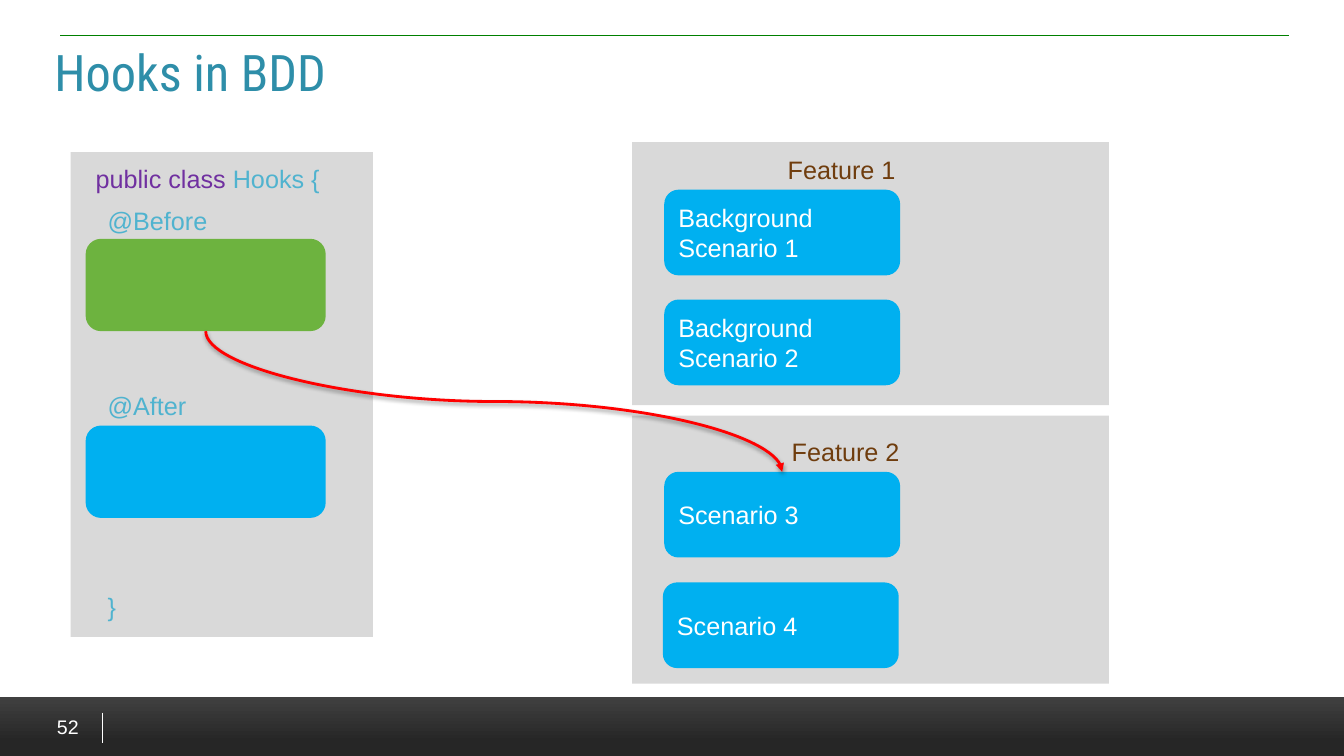
from dataclasses import dataclass

from lxml.etree import SubElement
from pptx import Presentation
from pptx.dml.color import RGBColor
from pptx.enum.shapes import MSO_CONNECTOR, MSO_SHAPE
from pptx.enum.text import MSO_ANCHOR, MSO_AUTO_SIZE, PP_ALIGN
from pptx.oxml.ns import qn
from pptx.util import Pt

HUES = {
    "panel": "D9D9D9", "green": "6DB33F", "blue": "00B0F0", "code": "50B3CF",
    "key": "7030A0", "brown": "6F3D0E", "white": "FFFFFF", "title": "2E8EA9",
    "rule": "008000", "red": "FF0000", "dark": "262626", "grey": "404040",
}


@dataclass
class Box:
    """A filled box with optional text, measured in points."""
    left: float
    top: float
    width: float
    height: float
    fill: str
    text: str = ""
    ink: str = "white"
    kind: MSO_SHAPE = MSO_SHAPE.ROUNDED_RECTANGLE


@dataclass
class Label:
    """A line of text in a text box, measured in points."""
    left: float
    top: float
    width: float
    text: str
    ink: str = "code"
    height: float = 29
    size: float = 18
    align: PP_ALIGN = PP_ALIGN.LEFT


@dataclass
class Rule:
    """A thin straight line, measured in points."""
    x1: float
    y1: float
    x2: float
    y2: float
    ink: str


PANELS = [
    Box(50.4, 108.7, 216, 346.3, "panel", kind=MSO_SHAPE.RECTANGLE),
    Box(451.5, 101.5, 340.6, 188, "panel", kind=MSO_SHAPE.RECTANGLE),
    Box(451.5, 296.9, 340.6, 191.5, "panel", kind=MSO_SHAPE.RECTANGLE),
]
HOOKS = [Box(61.2, top, 171.5, 66, hue)
         for top, hue in ((170.6, "green"), (304, "blue"))]
HEADS = [Box(left, top, 148.3, 24.5, "panel", text, "brown")
         for left, top, text in ((554.4, 108.7, "Feature 1"), (557.3, 310, "Feature 2"))]
STEPS = [Box(left, top, 168.5, 61.2, "blue", text) for left, top, text in (
    (474.5, 135.5, "Background\nScenario 1"),
    (474.5, 214, "Background\nScenario 2"),
    (474.5, 337, "Scenario 3"),
    (473.5, 416, "Scenario 4"),
)]
LABELS = [
    Label(69.8, 142.6, 88.6, "@Before"),
    Label(69.8, 275, 88.6, "@After"),
    Label(69.8, 418.5, 114.5, "}"),
    Label(17.3, 502, 46, "52", "white", 34, 14, PP_ALIGN.RIGHT),
]
RULES = [Rule(73.4, 509, 73.4, 530.6, "white"), Rule(43.2, 25.2, 920.9, 25.2, "rule")]


def tint(name: str) -> RGBColor:
    """Return the named colour."""
    return RGBColor.from_string(HUES[name])


def style(frame, ink: str, size: float = 18, face: str = "Arial",
          align: PP_ALIGN = PP_ALIGN.LEFT) -> None:
    """Format all the text of a frame."""
    frame.word_wrap = True
    for para in frame.paragraphs:
        para.alignment = align
        for run in para.runs:
            run.font.size = Pt(size)
            run.font.name = face
            run.font.color.rgb = tint(ink)


def draw_box(slide, box: Box):
    """Draw a box and its text."""
    shape = slide.shapes.add_shape(
        box.kind, Pt(box.left), Pt(box.top), Pt(box.width), Pt(box.height))
    shape.shadow.inherit = False
    shape.fill.solid()
    shape.fill.fore_color.rgb = tint(box.fill)
    shape.line.fill.background()
    if box.text:
        frame = shape.text_frame
        frame.text = box.text
        frame.vertical_anchor = MSO_ANCHOR.MIDDLE
        style(frame, box.ink)
    return shape


def draw_label(slide, label: Label):
    """Draw a label and return its frame."""
    frame = slide.shapes.add_textbox(
        Pt(label.left), Pt(label.top), Pt(label.width), Pt(label.height)).text_frame
    frame.text = label.text
    frame.vertical_anchor = MSO_ANCHOR.MIDDLE
    style(frame, label.ink, label.size, align=label.align)
    return frame


def draw_rule(slide, rule: Rule) -> None:
    """Draw a thin line without shadow."""
    line = slide.shapes.add_connector(
        MSO_CONNECTOR.STRAIGHT, Pt(rule.x1), Pt(rule.y1), Pt(rule.x2), Pt(rule.y2))
    line.line.color.rgb = tint(rule.ink)
    line.line.width = Pt(0.5)
    SubElement(line._element.spPr, qn("a:effectLst"))


def draw_curve(slide, x1: float, y1: float, x2: float, y2: float) -> None:
    """Draw a red curved arrow that leaves and arrives vertically."""
    midx, midy = (x1 + x2) / 2, (y1 + y2) / 2
    halfw, halfh = (y2 - y1) / 2, (x2 - x1) / 2
    curve = slide.shapes.add_connector(
        MSO_CONNECTOR.CURVE, Pt(midx + halfw), Pt(midy - halfh),
        Pt(midx - halfw), Pt(midy + halfh))
    curve.line.color.rgb = tint("red")
    curve.line.width = Pt(2)
    props = curve._element.spPr
    props.find(qn("a:xfrm")).set("rot", str(270 * 60000))
    SubElement(props.find(qn("a:ln")), qn("a:tailEnd"), type="triangle")
    glow = SubElement(SubElement(props, qn("a:effectLst")), qn("a:outerShdw"),
                      blurRad=str(Pt(3.1)), dist=str(Pt(1.6)),
                      dir=str(90 * 60000), rotWithShape="0")
    shade = SubElement(glow, qn("a:srgbClr"), val="000000")
    SubElement(shade, qn("a:alpha"), val="38000")


def draw_foot(slide) -> None:
    """Draw the dark gradient band at the bottom."""
    band = draw_box(slide, Box(0, 497.7, 960, 42.3, "dark", kind=MSO_SHAPE.RECTANGLE))
    band.fill.gradient()
    band.fill.gradient_angle = 90
    for stop, place, hue in zip(band.fill.gradient_stops, (0.24, 1), ("dark", "grey")):
        stop.position = place
        stop.color.rgb = tint(hue)


def set_title(slide, text: str) -> None:
    """Place and format the title."""
    title = slide.shapes.title
    title.left, title.top, title.width, title.height = Pt(31.7), Pt(26), Pt(888.5), Pt(47.5)
    frame = title.text_frame
    frame.text = text
    frame.auto_size = MSO_AUTO_SIZE.NONE
    frame.vertical_anchor = MSO_ANCHOR.TOP
    style(frame, "title", 36, "Roboto Condensed")


def main() -> None:
    """Build and save the slide."""
    deck = Presentation()
    deck.slide_width, deck.slide_height = Pt(960), Pt(540)
    slide = deck.slides.add_slide(deck.slide_layouts[5])
    draw_foot(slide)
    for rule in RULES:
        draw_rule(slide, rule)
    set_title(slide, "Hooks in BDD")
    for box in PANELS + HOOKS + HEADS + STEPS:
        draw_box(slide, box)
    for label in LABELS:
        draw_label(slide, label)
    head = draw_label(slide, Label(61.2, 113, 189.4, "public class Hooks {", "key"))
    para = head.paragraphs[0]
    para.runs[0].text = "public class "
    para.add_run().text = "Hooks {"
    style(head, "code")
    para.runs[0].font.color.rgb = tint("key")
    draw_curve(slide, 146.9, 236.6, 558.7, 337)
    deck.save("out.pptx")


if __name__ == "__main__":
    main()
